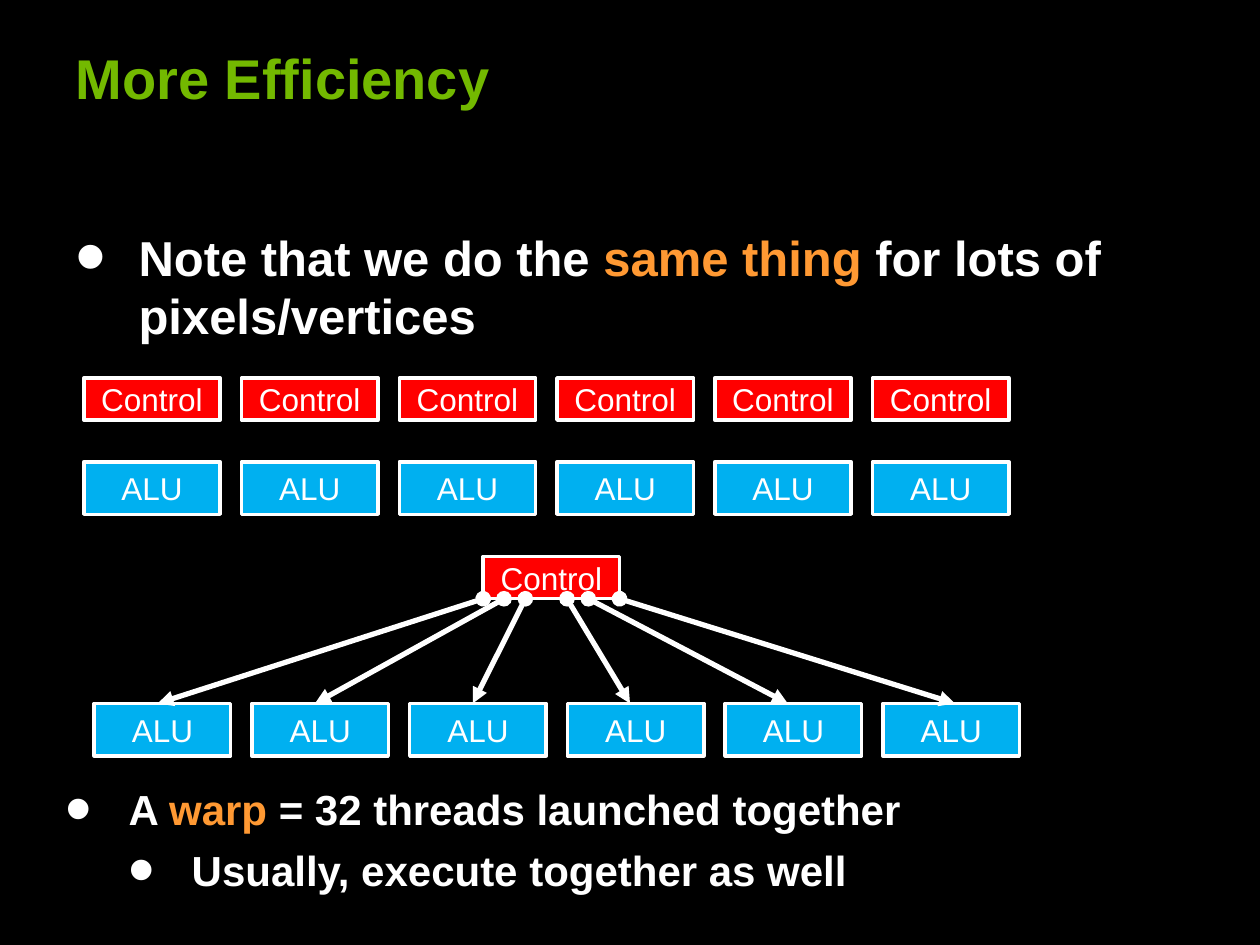
import pptx
import pptx.util
import pptx.dml.color
import pptx.enum.shapes
import pptx.enum.text
import pptx.oxml
import pptx.oxml.ns
from pptx.util import Cm

WHITE, ORANGE, GREEN = "FFFFFF", "FF9933", "73B900"
RED, BLUE, BLACK = "FF0000", "00B0F0", "000000"

TITLE = "More Efficiency"
LISTS = [
    ((1.27, 4.45, 22.86, 4.01), 28, [
        (0, [("Note that we do the ", WHITE), ("same thing ", ORANGE),
             ("for lots of pixels/vertices", WHITE)]),
    ]),
    ((1.07, 15.67, 22.86, 2.97), 24, [
        (0, [("A ", WHITE), ("warp ", ORANGE),
             ("= 32 threads launched together", WHITE)]),
        (1, [("Usually, execute together as well", WHITE)]),
    ]),
]
KINDS = {"Control": (RED, 0.85), "ALU": (BLUE, 1.06)}
ROWS = [
    ("ALU", 1.69, 9.31, 6),
    ("Control", 1.69, 7.62, 6),
    ("ALU", 1.9, 14.18, 6),
    ("Control", 9.74, 11.22, 1),
]
WIDTH, PITCH = 2.75, 3.18
ARROWS = [(9.74, 3.18), (10.16, 6.35), (10.59, 9.53),
          (11.43, 12.7), (11.86, 15.88), (12.49, 19.25)]
START, END = 12.07, 14.18


def paint(target, code):
    target.rgb = pptx.dml.color.RGBColor.from_string(code)


def fill(target, code):
    target.solid()
    paint(target.fore_color, code)


def place(shape, box):
    shape.left, shape.top, shape.width, shape.height = map(Cm, box)


def style(para, size, bold):
    para.font.name = "Arial"
    para.font.size = pptx.util.Pt(size)
    para.font.bold = bold


def node(parent, tag, **attrs):
    child = pptx.oxml.parse_xml(f"<a:{tag} {pptx.oxml.ns.nsdecls('a')}/>")
    for key, value in attrs.items():
        child.set(key, value)
    parent.append(child)
    return child


def bullet(para, level):
    props = para._p.get_or_add_pPr()
    props.set("marL", str(Cm(1.27 * (level + 1))))
    props.set("indent", str(-Cm(1.27)))
    node(node(props, "buClr"), "srgbClr", val=WHITE)
    node(props, "buSzPct", val="180000")
    node(props, "buFont", typeface="Arial")
    node(props, "buChar", char="•")


def add_list(shape, box, size, items):
    place(shape, box)
    frame = shape.text_frame
    frame.auto_size = pptx.enum.text.MSO_AUTO_SIZE.NONE
    frame.vertical_anchor = pptx.enum.text.MSO_ANCHOR.TOP
    for index, (level, parts) in enumerate(items):
        para = frame.add_paragraph() if index else frame.paragraphs[0]
        para.level = level
        bullet(para, level)
        para.space_before = pptx.util.Pt(6 if index else 0)
        style(para, size, True)
        for text, code in parts:
            run = para.add_run()
            run.text = text
            paint(run.font.color, code)


def add_box(slide, label, left, top):
    code, height = KINDS[label]
    shape = slide.shapes.add_shape(
        pptx.enum.shapes.MSO_SHAPE.RECTANGLE,
        Cm(left), Cm(top), Cm(WIDTH), Cm(height))
    shape.shadow.inherit = False
    fill(shape.fill, code)
    paint(shape.line.color, WHITE)
    shape.line.width = pptx.util.Pt(2)
    frame = shape.text_frame
    frame.text = label
    frame.vertical_anchor = pptx.enum.text.MSO_ANCHOR.MIDDLE
    para = frame.paragraphs[0]
    para.alignment = pptx.enum.text.PP_ALIGN.CENTER
    style(para, 18, False)
    paint(para.font.color, WHITE)


def add_arrow(slide, left, right):
    arrow = slide.shapes.add_connector(
        pptx.enum.shapes.MSO_CONNECTOR.STRAIGHT,
        Cm(left), Cm(START), Cm(right), Cm(END))
    paint(arrow.line.color, WHITE)
    arrow.line.width = pptx.util.Pt(3)
    line = arrow.line._get_or_add_ln()
    node(line, "headEnd", type="oval")
    node(line, "tailEnd", type="triangle")
    node(arrow._element.spPr, "effectLst")


def main():
    deck = pptx.Presentation()
    deck.slide_width, deck.slide_height = Cm(25.4), Cm(19.05)
    slide = deck.slides.add_slide(deck.slide_layouts[3])
    fill(slide.background.fill, BLACK)

    title, *bodies = slide.placeholders
    place(title, (1.27, 0.76, 20.52, 1.6))
    title.text_frame.text = TITLE
    title.text_frame.vertical_anchor = pptx.enum.text.MSO_ANCHOR.MIDDLE
    head = title.text_frame.paragraphs[0]
    head.alignment = pptx.enum.text.PP_ALIGN.LEFT
    style(head, 32, True)
    paint(head.font.color, GREEN)

    for body, (box, size, items) in zip(bodies, LISTS):
        add_list(body, box, size, items)
    for label, left, top, count in ROWS:
        for index in range(count):
            add_box(slide, label, left + index * PITCH, top)
    for left, right in ARROWS:
        add_arrow(slide, left, right)
    deck.save("out.pptx")


if __name__ == "__main__":
    main()
